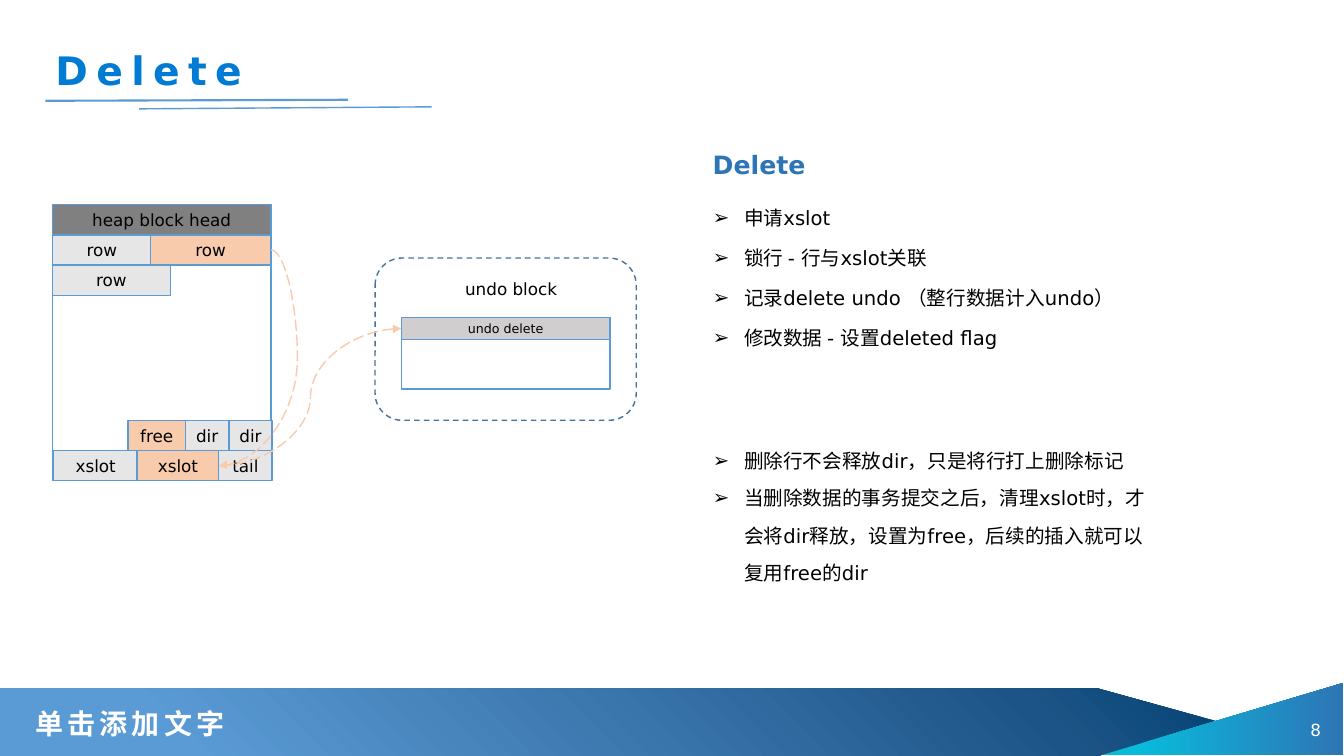
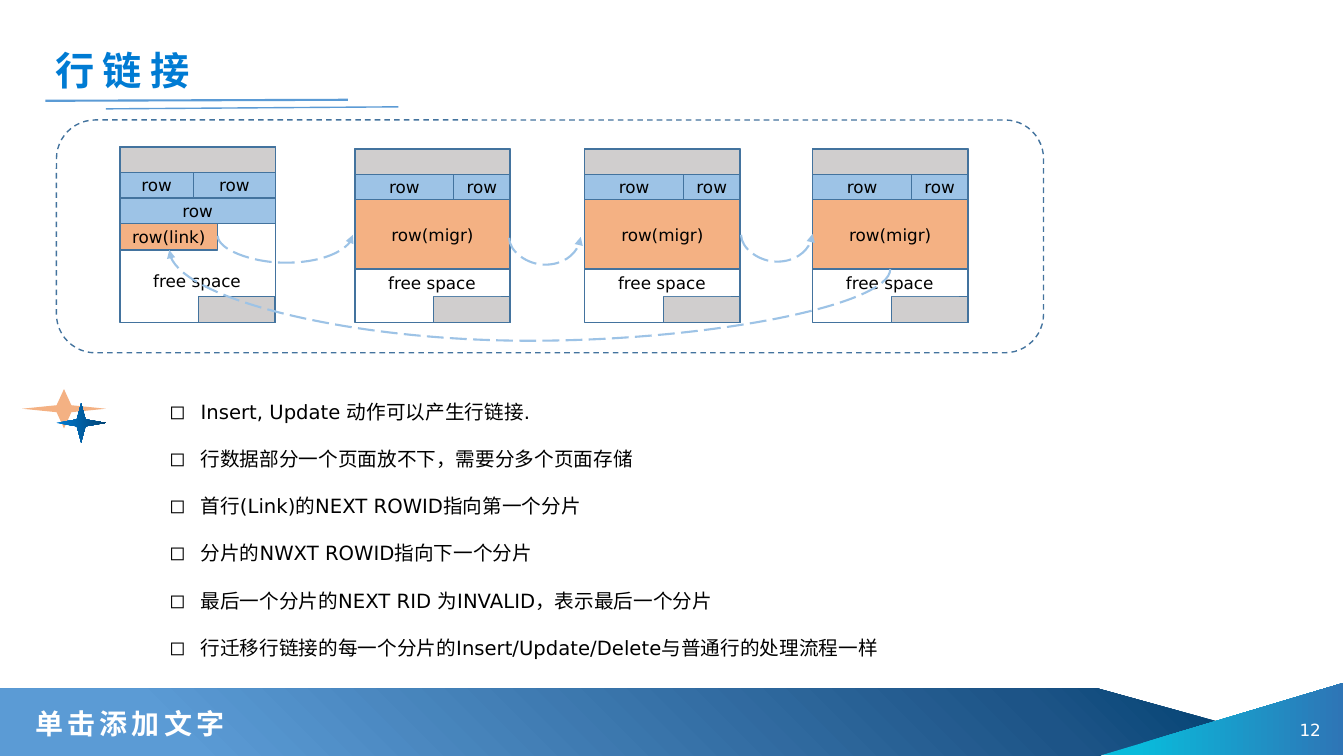
import pptx
import pptx.dml.color
import pptx.enum.dml
import pptx.enum.shapes
import pptx.enum.text
import pptx.oxml
import pptx.oxml.ns
import pptx.util
from lxml import etree

Inches = pptx.util.Inches
SHAPE = pptx.enum.shapes.MSO_SHAPE
CONNECTOR = pptx.enum.shapes.MSO_CONNECTOR
DASH = pptx.enum.dml.MSO_LINE
ALIGN = pptx.enum.text.PP_ALIGN
ANCHOR = pptx.enum.text.MSO_ANCHOR
qn = pptx.oxml.ns.qn

FONT = "DejaVu Sans"
BLACK, WHITE = "000000", "FFFFFF"
SKY, STEEL, OCEAN = "5B9BD5", "43739E", "2E75B6"
SILVER, MIST, SLATE = "D0CECE", "E7E6E6", "808080"
PEACH, ORANGE, PALE_BLUE = "F8CBAD", "F4B183", "9DC3E6"
DEEP_BLUE = [(0, "007BD3"), (100, "034373")]


def colour(value):
    """Return the colour of a hex string."""
    return pptx.dml.color.RGBColor.from_string(value)


def child(parent, tag, **attributes):
    """Append a drawing element and return it."""
    return etree.SubElement(parent, qn(tag), attributes)


def gradient(fill, holder, stops, angle=0, corner=False):
    """Give a fill the listed gradient stops, linear or spreading from the bottom left."""
    fill.gradient()
    grad = holder.find(qn("a:gradFill"))
    grad.clear()
    grad.set("rotWithShape", "1")
    stop_list = child(grad, "a:gsLst")
    for position, value in stops:
        stop = child(stop_list, "a:gs", pos=str(position * 1000))
        child(stop, "a:srgbClr", val=value)
    if corner:
        spread = child(grad, "a:path", path="circle")
        child(spread, "a:fillToRect", t="100000", r="100000")
    else:
        child(grad, "a:lin", ang=str(angle * 60000), scaled="0")


def write(para, text, size=12, ink=BLACK, bold=False, spacing=0):
    """Add a formatted span of text to a paragraph."""
    span = para.add_run()
    span.text = text
    font = span.font
    font.name, font.size, font.bold = FONT, pptx.util.Pt(size), bold
    properties = span._r.get_or_add_rPr()
    if isinstance(ink, list):
        gradient(font.fill, properties, ink)
    else:
        font.fill.solid()
        font.fill.fore_color.rgb = colour(ink)
    if spacing:
        properties.set("spc", str(spacing * 100))


class Deck:
    """Holds the style and the current page."""

    def __init__(self):
        """Start an empty wide deck."""
        self.deck = pptx.Presentation()
        self.deck.slide_width, self.deck.slide_height = Inches(13.33), Inches(7.5)
        self.page = None

    def start(self, layout, title, title_width, number, second_line):
        """Open a page with its title, underlines, footer and number."""
        self.page = self.deck.slides.add_slide(self.deck.slide_layouts[layout])
        if number == 8:
            self.bands()
        box = self.page.shapes.title
        self.place(box, (0.45, 0.41, title_width, 0.57))
        self.fill_text(box, title, ALIGN.LEFT, ANCHOR.MIDDLE, False,
                       size=28, ink=DEEP_BLUE, bold=True, spacing=6)
        self.line((0.45, 1), (3.45, 0.99), SKY, 1.5)
        self.line((second_line, 1.08), (second_line + 2.9, 1.06), SKY, 1)
        self.label((0.25, 6.96, 2.13, 0.44), "单击添加文字", ALIGN.LEFT, ANCHOR.MIDDLE,
                   False, size=20, ink=WHITE, bold=True, spacing=3)
        self.label((12.53, 7.04, 0.67, 0.4), str(number), ALIGN.RIGHT, ANCHOR.MIDDLE,
                   ink=WHITE)

    def bands(self):
        """Put the two bottom bands on the slide master."""
        band = self.shape((0, 6.83, 12.1, 0.67), None, kind=SHAPE.PENTAGON)
        band.adjustments[0] = 1.81
        gradient(band.fill, band.element.spPr,
                 [(15, SKY), (84, "1D5487"), (100, "034373")], corner=True)
        wedge = self.shape((11.76, 5.93, 0.72, 2.41), None, kind=SHAPE.RIGHT_TRIANGLE)
        wedge.rotation = 270
        gradient(wedge.fill, wedge.element.spPr, [(15, "09BBDB"), (100, OCEAN)], 90)
        tree = self.deck.slide_master.shapes.element
        for index, part in enumerate((band, wedge), 2):
            tree.insert(index, part.element)

    def place(self, box, area):
        """Move and size a box."""
        box.left, box.top, box.width, box.height = map(Inches, area)

    def fill_text(self, box, text, align, anchor, wrap, **style):
        """Write one paragraph into a box."""
        frame = box.text_frame
        frame.auto_size = pptx.enum.text.MSO_AUTO_SIZE.NONE
        frame.word_wrap, frame.vertical_anchor = wrap, anchor
        para = frame.paragraphs[0]
        para.alignment = align
        write(para, text, **style)

    def label(self, area, text, align=ALIGN.LEFT, anchor=ANCHOR.TOP, wrap=True, **style):
        """Add a text box."""
        box = self.page.shapes.add_textbox(*map(Inches, area))
        self.fill_text(box, text, align, anchor, wrap, **style)

    def shape(self, area, fill, line=None, text="", kind=SHAPE.RECTANGLE, size=12):
        """Add a preset shape with optional outline and centred text."""
        box = self.page.shapes.add_shape(kind, *map(Inches, area))
        box.shadow.inherit = False
        if isinstance(fill, list):
            gradient(box.fill, box.element.spPr, fill)
        elif fill:
            box.fill.solid()
            box.fill.fore_color.rgb = colour(fill)
        if line:
            box.line.color.rgb = colour(line)
            box.line.width = pptx.util.Pt(1)
        else:
            box.line.fill.background()
        if text:
            frame = box.text_frame
            frame.margin_left = frame.margin_right = 0
            frame.margin_top = frame.margin_bottom = 0
            self.fill_text(box, text, ALIGN.CENTER, ANCHOR.MIDDLE, False, size=size)
        return box

    def frame(self, area):
        """Add a dashed rounded frame."""
        box = self.shape(area, WHITE, STEEL, kind=SHAPE.ROUNDED_RECTANGLE)
        box.line.dash_style = DASH.DASH

    def cells(self, left, top, line, rows):
        """Add block cells placed relative to a corner."""
        for x, y, width, height, fill, text in rows:
            self.shape((left + x, top + y, width, height), fill, line, text)

    def line(self, start, end, ink, width, kind=CONNECTOR.STRAIGHT):
        """Add a connector without shadow."""
        connector = self.page.shapes.add_connector(kind, *map(Inches, start + end))
        connector.line.color.rgb = colour(ink)
        connector.line.width = pptx.util.Pt(width)
        child(connector.element.spPr, "a:effectLst")
        return connector

    def curve(self, start, end, ink, width, bend):
        """Add a dashed curved arrow that turns at a share of its width."""
        connector = self.line(start, end, ink, width, CONNECTOR.CURVE)
        connector.line.dash_style = DASH.LONG_DASH
        properties = connector.element.spPr
        child(properties.find(qn("a:ln")), "a:tailEnd", type="triangle")
        guides = properties.find(qn("a:prstGeom")).find(qn("a:avLst"))
        child(guides, "a:gd", name="adj1", fmla=f"val {round(bend * 100000)}")
        return connector

    def dip(self, start, end, depth):
        """Add a curved arrow that hangs below its start by a depth."""
        (x1, y1), (x2, y2) = start, end
        middle_x, middle_y = (x1 + x2) / 2, (y1 + y2) / 2
        forward = x2 > x1
        rise, reach = (y1 - y2) / 2, abs(x2 - x1) / 2
        side = rise if forward else -rise
        connector = self.curve((middle_x - side, middle_y - reach),
                               (middle_x + side, middle_y + reach),
                               PALE_BLUE, 1.5, -depth / (y1 - y2))
        turn = 270 if forward else 90
        connector.element.spPr.find(qn("a:xfrm")).set("rot", str(turn * 60000))

    def bullets(self, index, area, mark, spacings, items):
        """Fill a body placeholder with a bulleted list."""
        box = self.page.placeholders[index]
        self.place(box, area)
        frame = box.text_frame
        frame.auto_size = pptx.enum.text.MSO_AUTO_SIZE.NONE
        frame.word_wrap = True
        for number, text in enumerate(items):
            para = frame.add_paragraph() if number else frame.paragraphs[0]
            properties = para._p.get_or_add_pPr()
            properties.set("marL", str(Inches(0.31)))
            properties.set("indent", str(-Inches(0.31)))
            child(properties, "a:buFont", typeface=FONT)
            child(properties, "a:buChar", char=mark)
            para.line_spacing = spacings[min(number, len(spacings) - 1)]
            para.space_before = pptx.util.Pt(0)
            write(para, text, size=14)


def delete_page(deck):
    """Build the page on deleting a row."""
    deck.start(3, "Delete", 2.1, 8, 1.38)
    deck.cells(0.52, 2.03, SKY, [
        (0, 0, 2.17, 2.74, WHITE, ""),
        (0, 0, 2.17, 0.3, SLATE, "heap block head"),
        (0, 0.3, 0.98, 0.3, MIST, "row"),
        (0.97, 0.3, 1.2, 0.3, PEACH, "row"),
        (0, 0.6, 1.17, 0.3, MIST, "row"),
        (0.75, 2.14, 0.57, 0.3, PEACH, "free"),
        (1.32, 2.14, 0.43, 0.3, MIST, "dir"),
        (1.75, 2.14, 0.43, 0.3, MIST, "dir"),
        (0.01, 2.44, 0.84, 0.3, MIST, "xslot"),
        (1.65, 2.44, 0.53, 0.3, MIST, "tail"),
        (0.84, 2.44, 0.81, 0.3, PEACH, "xslot"),
    ])
    deck.frame((3.72, 2.56, 2.59, 1.61))
    deck.shape((3.98, 3.15, 2.07, 0.71), WHITE, SKY)
    deck.shape((3.98, 3.15, 2.07, 0.22), SILVER, SKY, "undo delete", size=9)
    deck.label((4.46, 2.72, 1.22, 0.3), "undo block", ALIGN.CENTER)
    deck.curve((2.69, 2.48), (2.17, 4.62), PEACH, 1, -0.5)
    deck.curve((2.18, 4.62), (3.98, 3.26), PEACH, 1, 0.5)
    deck.label((6.97, 1.43, 2.25, 0.4), "Delete", size=18, ink=OCEAN, bold=True)
    deck.bullets(1, (6.97, 1.83, 4.29, 2.2), "➢", [1.7], [
        "申请xslot",
        "锁行 - 行与xslot关联",
        "记录delete undo （整行数据计入undo）",
        "修改数据 - 设置deleted flag",
    ])
    deck.bullets(2, (6.97, 4.26, 4.49, 1.61), "➢", [1.6], [
        "删除行不会释放dir，只是将行打上删除标记",
        "当删除数据的事务提交之后，清理xslot时，才会将dir释放，设置为free，后续的插入就可以复用free的dir",
    ])


def chain_page(deck):
    """Build the page on row chaining."""
    deck.start(1, "行链接", 1.61, 12, 1.05)
    deck.frame((0.56, 1.19, 9.79, 2.31))
    link_rows = [
        (0, 0.25, 0.73, 0.25, PALE_BLUE, "row"),
        (0.73, 0.25, 0.81, 0.25, PALE_BLUE, "row"),
        (0, 0.51, 1.54, 0.25, PALE_BLUE, "row"),
        (0, 0.76, 0.97, 0.26, ORANGE, "row(link)"),
    ]
    part_rows = [
        (0, 0.25, 0.98, 0.25, PALE_BLUE, "row"),
        (0.98, 0.25, 0.56, 0.25, PALE_BLUE, "row"),
        (0, 0.5, 1.54, 0.69, ORANGE, "row(migr)"),
    ]
    for left, top, rows in ((1.19, 1.46, link_rows), (3.52, 1.48, part_rows),
                            (5.8, 1.48, part_rows), (8.06, 1.48, part_rows)):
        deck.cells(left, top, STEEL, [
            (0, 0, 1.54, 3.2 - top, WHITE, ""),
            (0, 0, 1.54, 0.25, SILVER, ""),
            (0.78, 2.94 - top, 0.76, 0.26, SILVER, ""),
        ])
        deck.cells(left, top, None, [(0.08, 1.2, 1.37, 0.26, WHITE, "free space")])
        deck.cells(left, top, STEEL, rows)
    deck.dip((2.16, 2.34), (3.5, 2.33), 0.27)
    deck.dip((5.05, 2.36), (5.76, 2.35), 0.27)
    deck.dip((7.35, 2.33), (8.06, 2.32), 0.27)
    deck.dip((8.83, 2.67), (1.68, 2.48), 0.71)
    deck.bullets(1, (1.58, 3.92, 9.13, 2.69), "◻", [1.0, 2.0], [
        "Insert, Update 动作可以产生行链接.",
        "行数据部分一个页面放不下，需要分多个页面存储",
        "首行(Link)的NEXT ROWID指向第一个分片",
        "分片的NWXT ROWID指向下一个分片",
        "最后一个分片的NEXT RID 为INVALID，表示最后一个分片",
        "行迁移行链接的每一个分片的Insert/Update/Delete与普通行的处理流程一样",
    ])
    deck.shape((0.22, 3.86, 0.83, 0.39), ORANGE, kind=SHAPE.STAR_4_POINT)
    deck.shape((0.56, 4, 0.49, 0.39), DEEP_BLUE, kind=SHAPE.STAR_4_POINT)


def main():
    """Build and save the deck."""
    deck = Deck()
    delete_page(deck)
    chain_page(deck)
    deck.deck.save("out.pptx")


if __name__ == "__main__":
    main()
